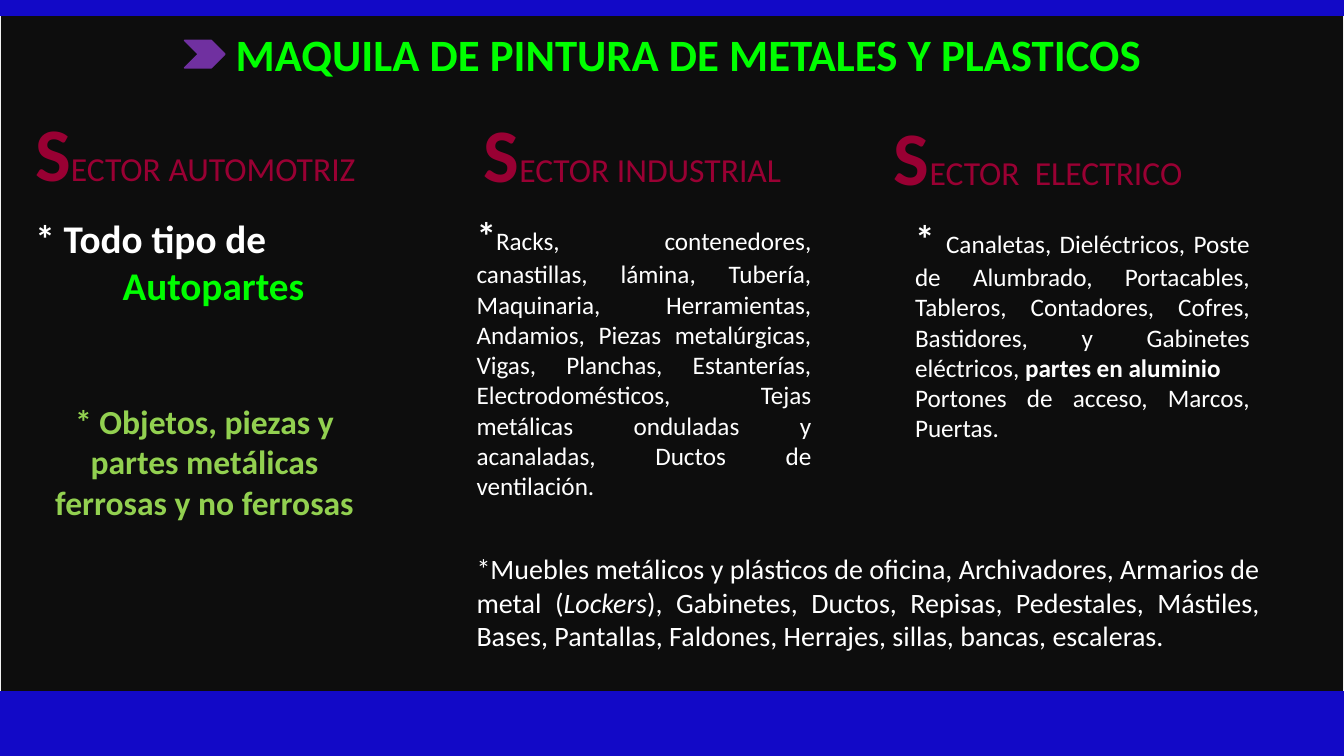
import dataclasses

import pptx
import pptx.dml.color
import pptx.enum.shapes
import pptx.enum.text
import pptx.util

Cm = pptx.util.Cm
Kind = pptx.enum.shapes.MSO_SHAPE
Align = pptx.enum.text.PP_ALIGN


@dataclasses.dataclass(frozen=True)
class Theme:
    font: str = "Calibri"
    # Colours
    dark: str = "0D0D0D"
    edge: str = "F2F2F2"
    blue: str = "1209C7"
    purple: str = "7030A0"
    lime: str = "00FF00"
    green: str = "92D050"
    wine: str = "990033"
    white: str = "FFFFFF"
    # Type sizes in points
    cap: int = 54
    title: int = 32
    lead: int = 28
    head: int = 24
    note: int = 20
    body: int = 18


THEME = Theme()
WIDTH, HEIGHT = 33.87, 19.05


def rgb(code):
    return pptx.dml.color.RGBColor.from_string(code)


def add_block(slide, kind, box, fill, line=None):
    """Add a filled preset shape; box is left, top, width, height in cm."""
    shape = slide.shapes.add_shape(kind, *map(Cm, box))
    shape.shadow.inherit = False
    shape.fill.solid()
    shape.fill.fore_color.rgb = rgb(fill)
    shape.line.color.rgb = rgb(line or fill)
    shape.line.width = pptx.util.Pt(1)


def add_run(para, text, size=THEME.body, color=THEME.white, bold=False, italic=False):
    """Add text with its own format to a paragraph."""
    run = para.add_run()
    run.text = text
    font = run.font
    font.name = THEME.font
    font.size = pptx.util.Pt(size)
    font.color.rgb = rgb(color)
    font.bold = bold
    font.italic = italic


def add_text(slide, box, *paras, align=Align.LEFT):
    """Add a text box; each paragraph is a list of (text, format) pairs."""
    frame = slide.shapes.add_textbox(*map(Cm, box)).text_frame
    frame.word_wrap = True
    for i, runs in enumerate(paras):
        para = frame.add_paragraph() if i else frame.paragraphs[0]
        para.alignment = align
        for text, form in runs:
            add_run(para, text, **form)
    return frame


def add_head(slide, left, top, width, text):
    """Add a sector heading with a large first letter."""
    add_text(slide, (left, top, width, 2.57), [
        (text[0], dict(size=THEME.cap, color=THEME.wine, bold=True)),
        (text[1:], dict(size=THEME.head, color=THEME.wine)),
    ])


def main():
    deck = pptx.Presentation()
    deck.slide_width, deck.slide_height = Cm(WIDTH), Cm(HEIGHT)
    slide = deck.slides.add_slide(deck.slide_layouts[6])

    # Background and bands
    add_block(slide, Kind.RECTANGLE, (0, 0, WIDTH, 17.42), THEME.dark, THEME.edge)
    add_block(slide, Kind.RECTANGLE, (0, 17.42, WIDTH, 1.7), THEME.blue)
    add_block(slide, Kind.CHEVRON, (4.65, 1.02, 1.02, 0.69), THEME.purple)
    add_block(slide, Kind.RECTANGLE, (0, 0, WIDTH, 0.38), THEME.blue)

    # Title
    add_text(slide, (5.69, 0.56, 23.9, 1.63), [
        ("MAQUILA DE PINTURA DE METALES Y PLASTICOS",
         dict(size=THEME.title, color=THEME.lime, bold=True)),
    ])

    # Sector headings
    add_head(slide, 0.64, 2.54, 11.3, "SECTOR AUTOMOTRIZ")
    add_head(slide, 11.94, 2.57, 9.73, "SECTOR INDUSTRIAL")
    add_head(slide, 22.28, 2.64, 9.73, "SECTOR  ELECTRICO")

    # Automotive column
    lead = dict(size=THEME.lead, bold=True)
    parts = add_text(slide, (0.64, 5.28, 8.64, 2.64),
                     [("* Todo tipo de", lead)],
                     [("Autopartes", dict(lead, color=THEME.lime))])
    parts.paragraphs[1]._p.get_or_add_pPr().set("marL", str(Cm(2.2)))
    add_text(slide, (1.04, 9.98, 8.23, 3.33), [
        ("* Objetos, piezas y partes metálicas ferrosas y no ferrosas",
         dict(size=THEME.head, color=THEME.green, bold=True)),
    ], align=Align.CENTER)

    # Industrial column
    add_text(slide, (11.76, 5.21, 8.94, 7.62), [
        ("*", lead),
        ("Racks, contenedores, canastillas, lámina, Tubería, Maquinaria, "
         "Herramientas, Andamios, Piezas metalúrgicas, Vigas, Planchas, "
         "Estanterías, Electrodomésticos, Tejas metálicas onduladas y "
         "acanaladas, Ductos de ventilación.", {}),
    ], align=Align.JUSTIFY)

    # Electrical column
    add_text(slide, (22.81, 5.28, 8.94, 6.07), [
        ("* ", lead),
        ("Canaletas, Dieléctricos, Poste de Alumbrado, Portacables, Tableros, "
         "Contadores, Cofres, Bastidores, y Gabinetes eléctricos, ", {}),
        ("partes en aluminio", dict(bold=True)),
    ], [("Portones de acceso, Marcos, Puertas.", {})], align=Align.JUSTIFY)

    # Furniture note
    note = dict(size=THEME.note)
    add_text(slide, (11.76, 13.77, 20.24, 2.82), [
        ("*Muebles metálicos y plásticos de oficina, Archivadores, "
         "Armarios de metal (", note),
        ("Lockers", dict(note, italic=True)),
        ("), Gabinetes, Ductos, Repisas, Pedestales, Mástiles, Bases, "
         "Pantallas, Faldones, Herrajes, sillas, bancas, escaleras.", note),
    ], align=Align.JUSTIFY)

    deck.save("out.pptx")


main()
